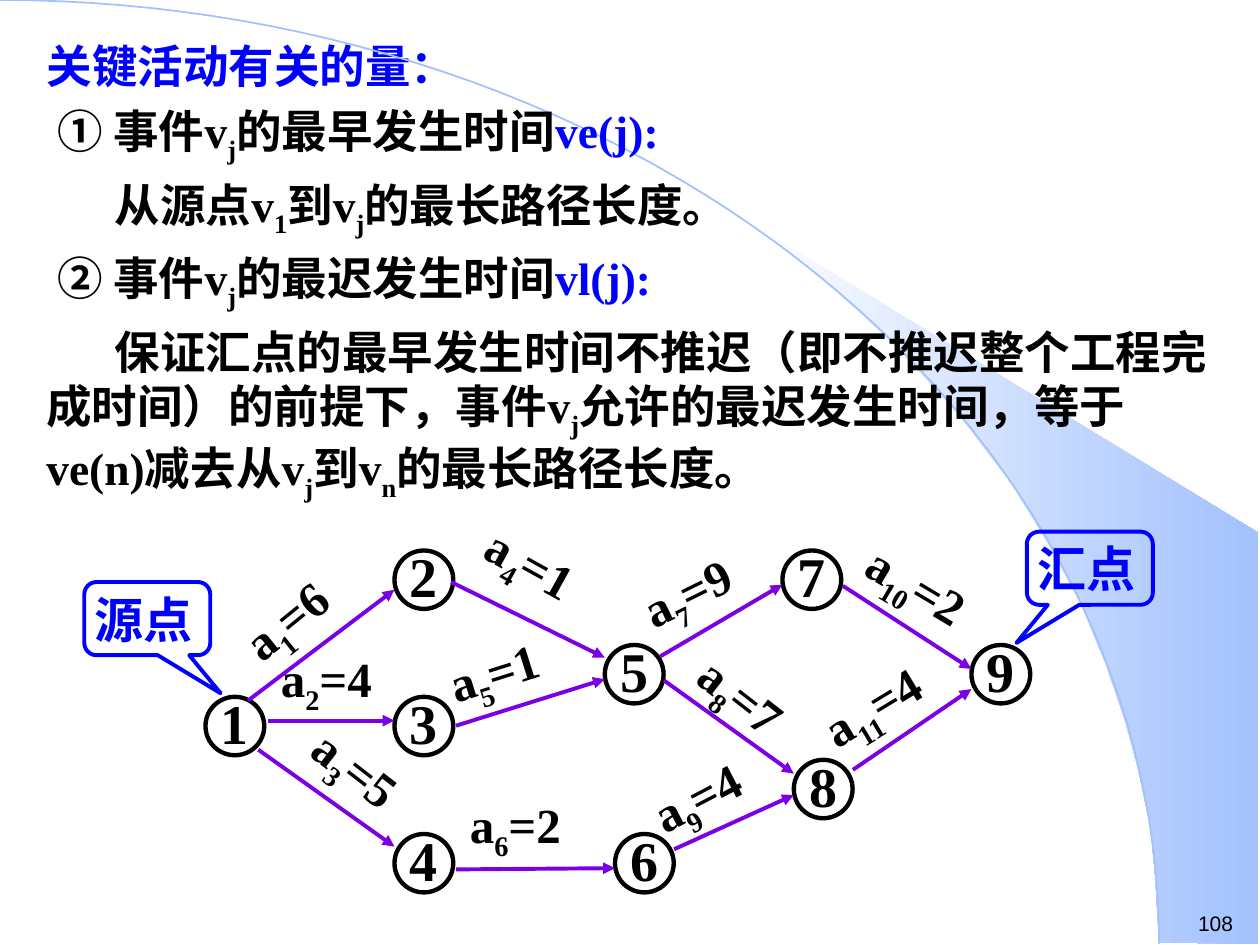
import math
from typing import NamedTuple

import pptx
import pptx.dml.color
import pptx.enum.dml
import pptx.enum.shapes
import pptx.enum.text
import pptx.util
from lxml import etree
from pptx.oxml.ns import qn

Pt = pptx.util.Pt
Color = pptx.dml.color.RGBColor
Kind = pptx.enum.shapes.MSO_SHAPE
Align = pptx.enum.text.PP_ALIGN
Anchor = pptx.enum.text.MSO_ANCHOR

BLACK = Color(0x00, 0x00, 0x00)
WHITE = Color(0xFF, 0xFF, 0xFF)
BLUE = Color(0x00, 0x00, 0xFF)
PALE = Color(0xA2, 0xC1, 0xFE)
PURPLE = Color(0x7B, 0x00, 0xE4)
SERIF = "Times New Roman"


class Node(NamedTuple):
    name: str
    x: float
    y: float


class Edge(NamedTuple):
    x1: float
    y1: float
    x2: float
    y2: float


class Label(NamedTuple):
    sub: str
    cost: int
    x: float
    y: float
    turn: float = 0
    width: float = 102


class Callout(NamedTuple):
    text: str
    x: float
    y: float
    tip: float


class Line(NamedTuple):
    indent: float
    text: str


NODES = [
    Node("1", 117.4, 398.2), Node("2", 225.4, 314.6), Node("3", 225.4, 398.2),
    Node("4", 225.4, 476.6), Node("5", 345.6, 368.6), Node("6", 351.4, 476.6),
    Node("7", 447.1, 314.6), Node("8", 453.6, 434.2), Node("9", 555.1, 368.6),
]
EDGES = [
    Edge(153.4, 411.8, 225.4, 411.8), Edge(141.8, 400.3, 225.4, 337),
    Edge(147.6, 428.4, 225.4, 483.8), Edge(260.6, 414.7, 345.6, 388.1),
    Edge(257.8, 332.6, 345.6, 375.8), Edge(260.6, 496.8, 351.4, 496.1),
    Edge(385.2, 485.3, 453.6, 454.3), Edge(377.3, 375.1, 447.1, 334.1),
    Edge(379.4, 388.8, 453.6, 442.1), Edge(487.4, 439.9, 555.1, 393.8),
    Edge(481.7, 334.8, 555.1, 382.3),
]
LABELS = [
    Label("1", 6, 129.6, 327.6, 320.9, 84), Label("2", 4, 153.4, 367.2),
    Label("3", 5, 165.6, 429.1, 37.7), Label("4", 1, 267.1, 309.6, 28.9),
    Label("5", 1, 249.1, 357.8, 342.4), Label("6", 2, 261.4, 450.7),
    Label("7", 9, 358.6, 309.6, 333.8), Label("8", 7, 385.9, 387.4, 38),
    Label("9", 4, 364.3, 426.2, 332.4), Label("10", 2, 483.8, 320.4, 30.9),
    Label("11", 4, 460.8, 375.1, 328.8),
]
CALLOUTS = [Callout("汇点", 586.8, 303.8, -0.583), Callout("源点", 48.2, 332.6, 0.583)]
LINES = [
    Line(6.5, "① 事件v|_j|的最早发生时间|*ve(j):"),
    Line(39, "从源点v|_1|到v|_j|的最长路径长度。"),
    Line(6.5, "② 事件v|_j|的最迟发生时间|*vl(j):"),
    Line(39, "保证汇点的最早发生时间不推迟（即不推迟整个工程完成时间）的前提下，"
             "事件v|_j|允许的最迟发生时间，等于ve(n)减去从v|_j|到v|_n|的最长路径长度。"),
]
WEDGE = [
    (662.4, 538.6), (719.3, 539.3), (719.3, 304.6), (424.1, 124.6), (449.3, 143.3),
    (470.2, 159.8), (493.2, 180), (515.5, 201.6), (548.6, 237.6), (578.2, 276.5),
    (599, 310.3), (617.8, 344.9), (632.2, 380.2), (643, 411.8), (650.2, 438.5),
    (657.4, 472.3), (660.2, 501.1),
]
ARC = [
    (662.4 * math.sin(step * math.pi / 120), 539.3 * (1 - math.cos(step * math.pi / 120)))
    for step in range(61)
]


def style(font, size: float, color: Color, bold: bool = True, face: str = SERIF) -> None:
    font.name, font.size, font.bold = face, Pt(size), bold
    font.color.rgb = color


def write(para, text: str, size: float) -> None:
    for part in text.split("|"):
        run = para.add_run()
        run.text = part.lstrip("_*")
        style(run.font, size, BLUE if part.startswith("*") else BLACK)
        if part.startswith("_"):
            run._r.get_or_add_rPr().set("baseline", "-25000")


def add_box(slide, x: float, y: float, width: float, height: float):
    box = slide.shapes.add_textbox(Pt(x), Pt(y), Pt(width), Pt(height))
    box.text_frame.word_wrap = True
    return box


def add_path(slide, points: list, closed: bool):
    start, *rest = [(Pt(x), Pt(y)) for x, y in points]
    pen = slide.shapes.build_freeform(*start)
    pen.add_line_segments(rest, close=closed)
    shape = pen.convert_to_shape()
    shape.shadow.inherit = False
    return shape


def add_back(slide) -> None:
    wedge = add_path(slide, WEDGE, True)
    wedge.line.fill.background()
    wedge.fill.gradient()
    wedge.fill.gradient_angle = 0
    for stop, color, place in zip(wedge.fill.gradient_stops, (WHITE, PALE), (0, 1)):
        stop.color.rgb, stop.position = color, place
    arc = add_path(slide, ARC, False)
    arc.fill.background()
    arc.line.color.rgb, arc.line.width = PALE, Pt(1)


def add_title(slide, text: str) -> None:
    title = slide.shapes.title
    title.left, title.top, title.width, title.height = Pt(19.4), Pt(18), Pt(686.2), Pt(37.4)
    frame = title.text_frame
    frame.text = text
    frame.auto_size = pptx.enum.text.MSO_AUTO_SIZE.NONE
    frame.vertical_anchor = Anchor.TOP
    frame.paragraphs[0].alignment = Align.LEFT
    style(frame.paragraphs[0].runs[0].font, 26, BLUE)


def add_lines(slide) -> None:
    frame = add_box(slide, 19.4, 55.4, 686.2, 234.8).text_frame
    for rank, line in enumerate(LINES):
        para = frame.add_paragraph() if rank else frame.paragraphs[0]
        para._p.get_or_add_pPr().set("indent", str(Pt(line.indent)))
        para.line_spacing = 1.0
        para.space_before = Pt(6.5 if rank else 0)
        write(para, line.text, 26)


def add_shape(slide, kind, box: tuple, text: str, size: float, color: Color, width: float):
    shape = slide.shapes.add_shape(kind, *map(Pt, box))
    shape.shadow.inherit = False
    shape.fill.background()
    shape.line.color.rgb, shape.line.width = color, Pt(width)
    frame = shape.text_frame
    frame.text = text
    frame.word_wrap = False
    frame.vertical_anchor = Anchor.MIDDLE
    frame.margin_left = frame.margin_right = frame.margin_top = frame.margin_bottom = 0
    frame.paragraphs[0].alignment = Align.CENTER
    style(frame.paragraphs[0].runs[0].font, size, color)
    return shape


def add_node(slide, node: Node) -> None:
    shape = add_shape(slide, Kind.OVAL, (node.x, node.y, 33.6, 33.4), node.name, 32, BLACK, 2.5)
    shape.text_frame.margin_bottom = Pt(5)


def add_edge(slide, edge: Edge) -> None:
    line = slide.shapes.add_connector(pptx.enum.shapes.MSO_CONNECTOR.STRAIGHT, *map(Pt, edge))
    line.line.color.rgb, line.line.width = PURPLE, Pt(2.25)
    etree.SubElement(line.line._get_or_add_ln(), qn("a:tailEnd"), type="triangle")
    etree.SubElement(line._element.spPr, qn("a:effectLst"))


def add_label(slide, label: Label) -> None:
    box = add_box(slide, label.x, label.y, label.width, 45.4)
    box.rotation = label.turn
    write(box.text_frame.paragraphs[0], f"a|_{label.sub}|={label.cost}", 28)


def add_callout(slide, call: Callout) -> None:
    box = (call.x, call.y, 72, 41.8)
    shape = add_shape(slide, Kind.ROUNDED_RECTANGULAR_CALLOUT, box, call.text, 28, BLUE, 2.25)
    shape.text_frame.margin_right = Pt(4)
    for rank, value in enumerate((call.tip, 1.021, 0.167)):
        shape.adjustments[rank] = value


def main() -> None:
    deck = pptx.Presentation()
    deck.slide_width, deck.slide_height = Pt(720), Pt(540)
    slide = deck.slides.add_slide(deck.slide_layouts[5])
    add_back(slide)
    page = add_box(slide, 677.5, 517, 42.5, 21.6).text_frame
    page.text = "108"
    style(page.paragraphs[0].runs[0].font, 12, BLACK, False, "Arial")
    add_title(slide, "关键活动有关的量：")
    add_lines(slide)
    for draw, items in ((add_node, NODES), (add_label, LABELS),
                        (add_edge, EDGES), (add_callout, CALLOUTS)):
        for item in items:
            draw(slide, item)
    deck.save("out.pptx")


if __name__ == "__main__":
    main()
